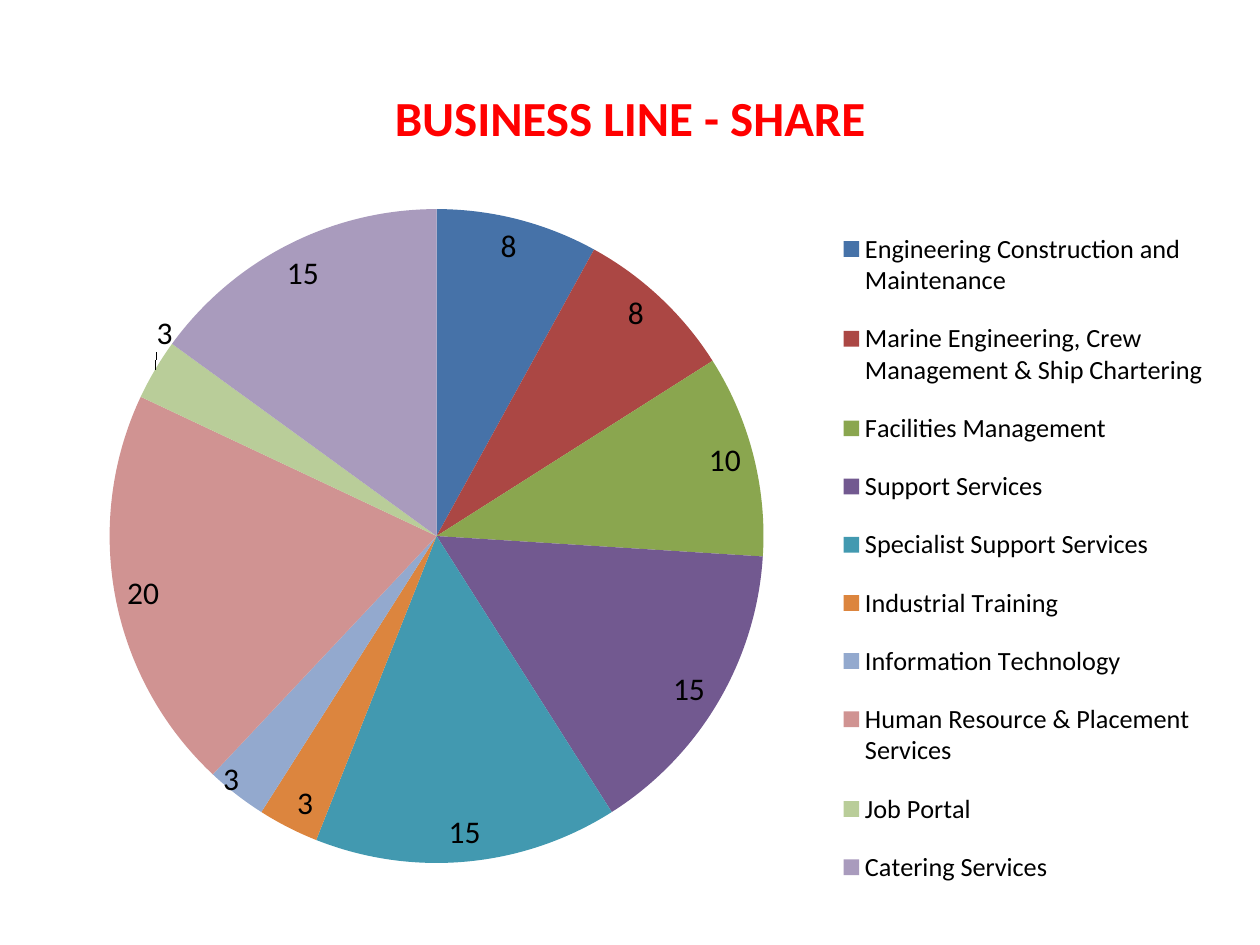
from lxml.etree import SubElement, Element
from pptx import Presentation
from pptx.chart.data import CategoryChartData
from pptx.dml.color import RGBColor
from pptx.enum.chart import XL_CHART_TYPE, XL_LABEL_POSITION, XL_LEGEND_POSITION
from pptx.enum.text import MSO_ANCHOR, PP_ALIGN
from pptx.oxml.ns import qn
from pptx.util import Inches, Pt

TITLE = "BUSINESS LINE - SHARE"
FONT = "Calibri"
LINES = [
    ("Engineering Construction and Maintenance", 8, "4672A8"),
    ("Marine Engineering, Crew Management & Ship Chartering", 8, "AB4744"),
    ("Facilities Management", 10, "8AA64F"),
    ("Support Services", 15, "725990"),
    ("Specialist Support Services", 15, "4299B0"),
    ("Industrial Training", 3, "DC853E"),
    ("Information Technology", 3, "93A9CE"),
    ("Human Resource & Placement Services", 20, "D09392"),
    ("Job Portal", 3, "B9CD99"),
    ("Catering Services", 15, "A99BBD"),
]
WIDTH, HEIGHT = 9.45, 5.69
SHIFTS = {6: (0.06, -0.32), 8: (0.19, -0.11)}
PIE_BOX = (0.59, 0.13, 5.19, 5.19)
KEY_BOX = (6.33, 0.11, 3.02, 5.58)


def paint(target, color):
    target.rgb = RGBColor.from_string(color)


def style(font, size, color="000000", bold=False):
    font.name, font.size, font.bold = FONT, Pt(size), bold
    paint(font.color, color)


def place(parent, index, box, mode=None, inner=False):
    """Give a chart part a manual layout from a box in inches."""
    for old in parent.findall(qn("c:layout")):
        parent.remove(old)
    layout = Element(qn("c:layout"))
    parent.insert(index, layout)
    manual = SubElement(layout, qn("c:manualLayout"))
    rows = [("layoutTarget", "inner")] if inner else []
    if mode:
        rows += [("xMode", mode), ("yMode", mode)]
    sizes = (WIDTH, HEIGHT, WIDTH, HEIGHT)
    rows += [(tag, part / size) for tag, part, size in zip("xywh", box, sizes)]
    for tag, value in rows:
        SubElement(manual, qn(f"c:{tag}")).set("val", str(value))


def add_title(slide):
    title = slide.shapes.title
    title.left, title.top = Inches(0.5), Inches(0.3)
    title.width, title.height = Inches(9), Inches(1.25)
    frame = title.text_frame
    frame.text = TITLE
    frame.vertical_anchor = MSO_ANCHOR.MIDDLE
    para = frame.paragraphs[0]
    para.alignment = PP_ALIGN.CENTER
    style(para.font, 28, "FF0000", True)


def add_pie(slide):
    names, shares, colors = zip(*LINES)
    data = CategoryChartData()
    data.categories = names
    data.add_series("Series 1", shares)
    data.add_series("Series 2", [])
    chart = slide.shapes.add_chart(
        XL_CHART_TYPE.PIE, Inches(0.28), Inches(1.53),
        Inches(WIDTH), Inches(HEIGHT), data).chart
    chart.replace_data(data)
    chart.has_title = False
    style(chart.font, 18)
    chart.has_legend = True
    legend = chart.legend
    legend.position = XL_LEGEND_POSITION.RIGHT
    legend.include_in_layout = False
    style(legend.font, 15)
    plot = chart.plots[0]
    plot.vary_by_categories = True
    series = plot.series[0]
    labels = series.data_labels
    labels.show_value = True
    labels.show_percentage = False
    labels.position = XL_LABEL_POSITION.BEST_FIT
    style(labels.font, 18)
    for index, color in enumerate(colors):
        fill = series.points[index].format.fill
        fill.solid()
        paint(fill.fore_color, color)
    for index in SHIFTS:
        label = series.points[index].data_label
        label.position = XL_LABEL_POSITION.BEST_FIT
    root = chart.element
    for label in root.iter(qn("c:dLbl")):
        index = int(label.find(qn("c:idx")).get("val"))
        place(label, 1, SHIFTS[index])
    place(root.find(".//" + qn("c:plotArea")), 0, PIE_BOX, "edge", True)
    place(root.find(".//" + qn("c:legend")), 1, KEY_BOX, "edge")


def main():
    deck = Presentation()
    deck.slide_width, deck.slide_height = Inches(10), Inches(7.5)
    slide = deck.slides.add_slide(deck.slide_layouts[5])
    add_title(slide)
    add_pie(slide)
    deck.save("out.pptx")


if __name__ == "__main__":
    main()
